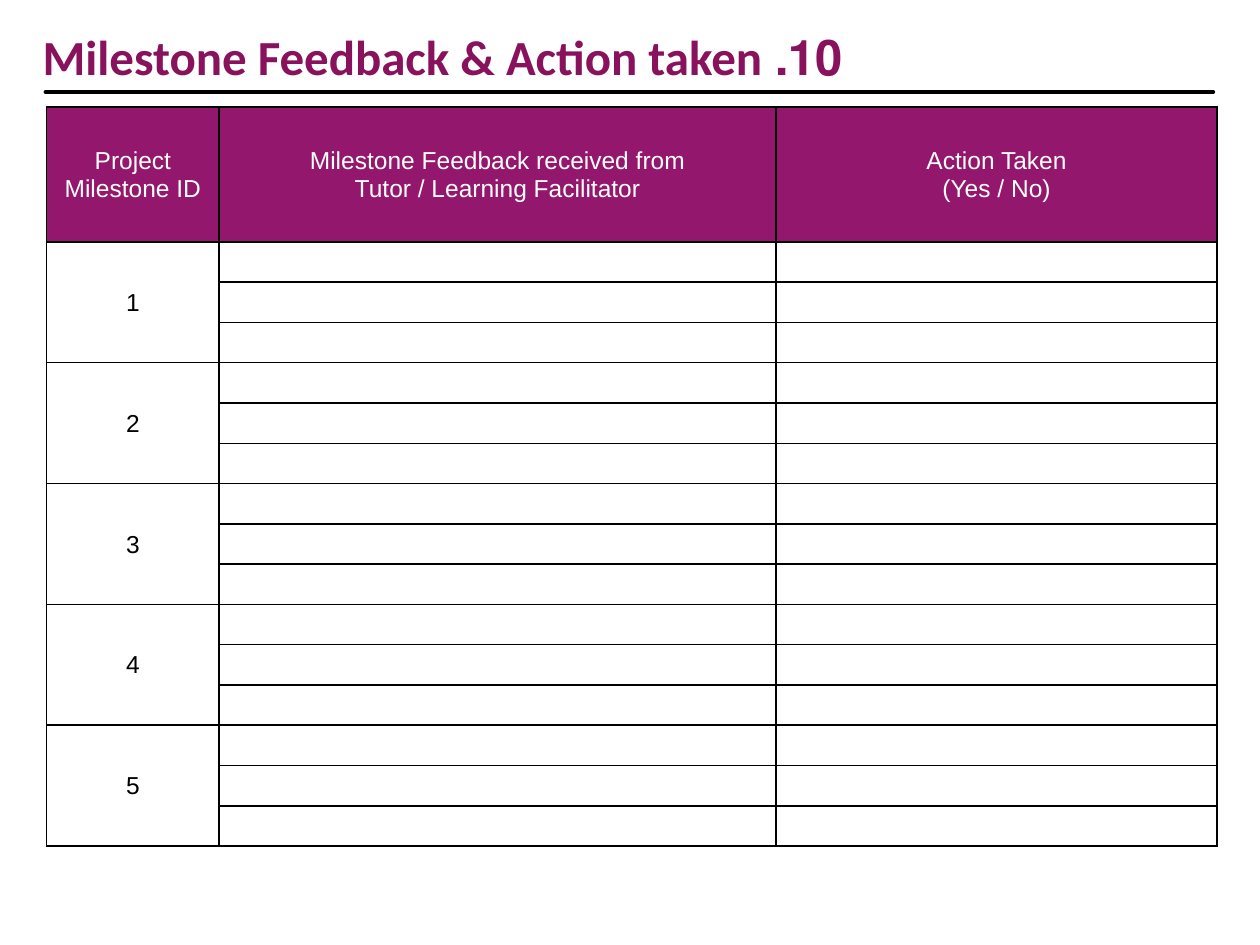
from lxml import etree
from pptx import Presentation
from pptx.dml.color import RGBColor
from pptx.enum import shapes, text
from pptx.oxml import parse_xml
from pptx.oxml.ns import nsdecls, qn
from pptx.util import Inches, Pt

BLACK, WHITE, HEADER_FILL, TITLE_COLOR = "000000", "FFFFFF", "93176C", "88125B"
COLUMN_WIDTHS = (1.37, 4.42, 3.5)
HEADER_HEIGHT, ROW_HEIGHT = 1.07, 0.32
HEADERS = (
    ["Project Milestone ID"],
    ["Milestone Feedback received from", "Tutor / Learning Facilitator"],
    ["Action Taken", "(Yes / No)"],
)
MILESTONES, ROWS_PER_MILESTONE = 5, 3


def color(hex_string):
    return RGBColor.from_string(hex_string)


def set_font(font, hex_color, **values):
    for name, value in values.items():
        setattr(font, name, value)
    font.color.rgb = color(hex_color)


def add_title(slide, title):
    box = slide.shapes.add_textbox(Inches(0.24), Inches(0.21), Inches(6.67), Inches(0.38))
    box.text_frame.word_wrap = True
    paragraph = box.text_frame.paragraphs[0]
    paragraph.alignment = text.PP_ALIGN.LEFT
    paragraph.line_spacing = 0.9
    paragraph._p.get_or_add_pPr().set("rtl", "1")
    run = paragraph.add_run()
    run.text = title
    set_font(run.font, TITLE_COLOR, name="Calibri", size=Pt(28), bold=True)


def add_rule(slide):
    rule = slide.shapes.add_connector(
        shapes.MSO_CONNECTOR.STRAIGHT, Inches(0.36), Inches(0.73), Inches(9.63), Inches(0.73))
    rule.line.width = Pt(2)
    rule.line.color.rgb = color(BLACK)
    rule.line._get_or_add_ln().set("cap", "rnd")
    etree.SubElement(rule._element.spPr, qn("a:effectLst"))


def add_borders(cell):
    """Draw a thin black line on each side; call before setting the fill."""
    properties = cell._tc.get_or_add_tcPr()
    for side in ("lnL", "lnR", "lnT", "lnB"):
        properties.append(parse_xml(
            f'<a:{side} {nsdecls("a")} w="{Pt(1)}"><a:solidFill>'
            f'<a:srgbClr val="{BLACK}"/></a:solidFill></a:{side}>'))


def format_cell(cell, fill):
    margins = {"margin_left": 0.01, "margin_right": 0.01, "margin_top": 0.01, "margin_bottom": 0}
    for name, value in margins.items():
        setattr(cell, name, Inches(value))
    cell.vertical_anchor = text.MSO_ANCHOR.MIDDLE
    add_borders(cell)
    cell.fill.solid()
    cell.fill.fore_color.rgb = color(fill)


def write_cell(cell, lines, hex_color):
    frame = cell.text_frame
    for index, line in enumerate(lines):
        paragraph = frame.add_paragraph() if index else frame.paragraphs[0]
        paragraph.alignment = text.PP_ALIGN.CENTER
        run = paragraph.add_run()
        run.text = line
        set_font(run.font, hex_color, name="Arial", size=Pt(14))


def add_feedback_table(slide):
    body_rows = MILESTONES * ROWS_PER_MILESTONE
    table = slide.shapes.add_table(
        body_rows + 1, len(COLUMN_WIDTHS), Inches(0.37), Inches(0.85),
        Inches(sum(COLUMN_WIDTHS)), Inches(HEADER_HEIGHT + body_rows * ROW_HEIGHT)).table
    for column, width in zip(table.columns, COLUMN_WIDTHS):
        column.width = Inches(width)
    for index, row in enumerate(table.rows):
        row.height = Inches(ROW_HEIGHT if index else HEADER_HEIGHT)
        for cell in row.cells:
            format_cell(cell, WHITE if index else HEADER_FILL)
    for index, lines in enumerate(HEADERS):
        write_cell(table.cell(0, index), lines, WHITE)
    for milestone in range(MILESTONES):
        first = 1 + milestone * ROWS_PER_MILESTONE
        cell = table.cell(first, 0)
        cell.merge(table.cell(first + ROWS_PER_MILESTONE - 1, 0))
        write_cell(cell, [str(milestone + 1)], BLACK)


def main():
    presentation = Presentation()
    presentation.slide_width, presentation.slide_height = Inches(10), Inches(7.5)
    slide = presentation.slides.add_slide(presentation.slide_layouts[6])
    add_rule(slide)
    add_feedback_table(slide)
    add_title(slide, "10. Milestone Feedback & Action taken")
    presentation.save("out.pptx")


if __name__ == "__main__":
    main()
